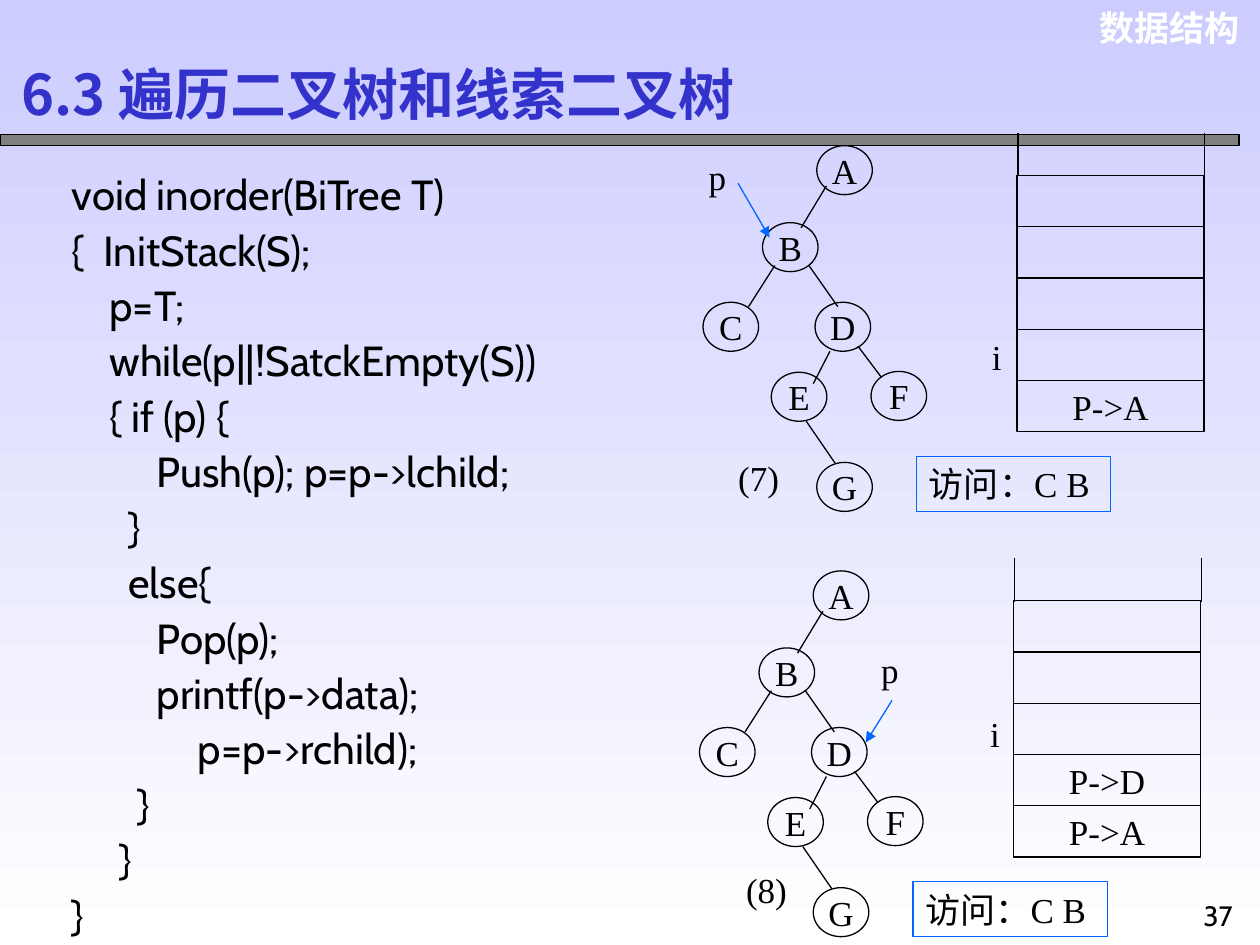
from dataclasses import dataclass

from lxml.etree import SubElement
from pptx import Presentation
from pptx.dml.color import RGBColor
from pptx.enum.shapes import MSO_CONNECTOR as Connector, MSO_SHAPE as Shape
from pptx.enum.text import MSO_ANCHOR as Anchor, PP_ALIGN as Align
from pptx.oxml.ns import qn
from pptx.util import Pt


@dataclass(frozen=True)
class Theme:
    """Colours, fonts and type sizes of the slide."""
    ink: str = "000000"
    white: str = "FFFFFF"
    title: str = "3333CC"
    accent: str = "0066FF"
    bar: str = "808080"
    sky: str = "CCCCFF"
    serif: str = "Times New Roman"
    sans: str = "Arial"
    code: str = "Cabin"
    chinese: str = "Noto Sans CJK SC"
    title_size: int = 32
    code_size: int = 24
    label_size: int = 20
    number_size: int = 16
    rule: float = 0.75
    tab: int = 72


@dataclass(frozen=True)
class Box:
    """A rectangle in points."""
    left: float
    top: float
    width: float
    height: float

    def inner(self, left, top, width, height):
        """Return a box placed relative to this one."""
        return Box(self.left + left, self.top + top, width, height)

    def lengths(self):
        """Return the four sides as lengths."""
        return [Pt(side) for side in (self.left, self.top, self.width, self.height)]


@dataclass(frozen=True)
class Step:
    """What changes from one traversal step to the next."""
    caption: str
    caption_at: tuple
    pointer_at: tuple
    arrow: tuple
    index_at: tuple
    stack: tuple


THEME = Theme()
NODE_WIDTH, NODE_HEIGHT = 31.75, 28
NODES = {"A": (65, 0), "B": (34, 44), "C": (0, 89.5), "D": (64, 89.5),
         "E": (39, 129.5), "F": (96, 129), "G": (65, 181)}
EDGES = [(70.5, 23, 56, 47), (41, 68.5, 26, 92), (60.5, 68.5, 77, 92),
         (72.5, 117.5, 63, 136), (88.5, 114.5, 102, 132.5), (59, 157.5, 75.5, 181.5)]
STEPS = [
    Step("(7)", (8, 174), (-4, 2), (20, 21.5, 38, 52.5), (158, 104.5),
         ("", "", "", "", "P->A")),
    Step("(8)", (14.5, 166.5), (96.5, 40.5), (110, 74, 95, 98), (159, 77),
         ("", "", "", "P->D", "P->A")),
]
CODE = """void inorder(BiTree T)
{  InitStack(S);
    p=T;
    while(p||!SatckEmpty(S))
    { if (p) {
         Push(p); p=p->lchild;
      }
      else{
         Pop(p);
         printf(p->data);
\tp=p->rchild);
       }
     }
}"""


def rgb(value):
    """Turn a hex string into a colour."""
    return RGBColor.from_string(value)


def write(shape, text, size, font, color=THEME.ink, bold=False, align=Align.LEFT,
          anchor=Anchor.TOP, wrap=True, spacing=None):
    """Fill a shape with text, one paragraph a line, and format it."""
    frame = shape.text_frame
    frame.word_wrap, frame.vertical_anchor = wrap, anchor
    frame.text = text
    for para in frame.paragraphs:
        para.alignment, para.line_spacing = align, spacing
        if "\t" in para.text:
            tabs = SubElement(para._p.get_or_add_pPr(), qn("a:tabLst"))
            SubElement(tabs, qn("a:tab"), pos=str(Pt(THEME.tab)), algn="l")
        for span in para.runs:
            span.font.name, span.font.size, span.font.bold = font, Pt(size), bold
            span.font.color.rgb = rgb(color)
            SubElement(span.font._element, qn("a:ea"), typeface=THEME.chinese)


def add_text(page, box, text, size, font, **style):
    """Add a text box."""
    write(page.shapes.add_textbox(*box.lengths()), text, size, font, **style)


def add_label(page, box, text):
    """Add a centred diagram label."""
    add_text(page, box, text, THEME.label_size, THEME.serif,
             align=Align.CENTER, anchor=Anchor.MIDDLE, wrap=False)


def add_outline(page, box, kind, text="", color=THEME.ink, align=Align.CENTER):
    """Add an unfilled shape with a thin outline and an optional label."""
    shape = page.shapes.add_shape(kind, *box.lengths())
    shape.shadow.inherit = False
    shape.fill.background()
    shape.line.color.rgb, shape.line.width = rgb(color), Pt(THEME.rule)
    if text:
        write(shape, text, THEME.label_size, THEME.serif, align=align,
              anchor=Anchor.MIDDLE, wrap=False)
    return shape


def add_line(page, box, ends, color=THEME.ink, arrow=False):
    """Draw a straight line between two points given relative to a box."""
    x1, y1, x2, y2 = ends
    line = page.shapes.add_connector(
        Connector.STRAIGHT, Pt(box.left + x1), Pt(box.top + y1),
        Pt(box.left + x2), Pt(box.top + y2))
    line.line.color.rgb, line.line.width = rgb(color), Pt(THEME.rule)
    if arrow:
        SubElement(line.line._get_or_add_ln(), qn("a:tailEnd"), type="triangle")
    SubElement(line._element.spPr, qn("a:effectLst"))


def draw_header(page, box):
    """Place the course name, the title and the grey bar."""
    add_text(page, box.inner(617, 0, 98.5, 31.5), "数据结构", THEME.label_size, THEME.sans,
             color=THEME.white, bold=True, align=Align.RIGHT)
    add_text(page, box.inner(5, 33, 486, 41), "6.3 遍历二叉树和线索二叉树", THEME.title_size,
             THEME.chinese, color=THEME.title, bold=True, anchor=Anchor.MIDDLE)
    bar = add_outline(page, box.inner(0, 77, 708, 6), Shape.RECTANGLE)
    bar.fill.solid()
    bar.fill.fore_color.rgb = rgb(THEME.bar)


def draw_tree(page, box):
    """Draw the binary tree."""
    for name, (left, top) in NODES.items():
        add_outline(page, box.inner(left, top, NODE_WIDTH, NODE_HEIGHT), Shape.OVAL, name)
    for ends in EDGES:
        add_line(page, box, ends)


def draw_stack(page, box, cells):
    """Draw an open-topped stack whose cells share the height of the box."""
    height = box.height / len(cells)
    for row, text in enumerate(cells):
        add_outline(page, box.inner(0, row * height, box.width, height),
                    Shape.RECTANGLE, text)
    for side in (0.5, box.width + 0.5):
        add_line(page, box, (side, -24.5, side, 0.5))


def draw_step(page, box, step):
    """Draw one traversal step: tree, pointer, stack and visited nodes."""
    draw_tree(page, box)
    add_label(page, box.inner(*step.pointer_at, 24.5, 31.5), "p")
    add_line(page, box, step.arrow, THEME.accent, arrow=True)
    add_label(page, box.inner(*step.index_at, 19.5, 31.5), "i")
    draw_stack(page, box.inner(179.5, 17, 106.75, 146.5), step.stack)
    add_outline(page, box.inner(122, 177.5, 111, 31.5), Shape.RECTANGLE,
                "访问：C B", THEME.accent, Align.LEFT)
    add_label(page, box.inner(*step.caption_at, 47.5, 31.5), step.caption)


def draw_code(page, box):
    """Place the code listing."""
    add_text(page, box, CODE, THEME.code_size, THEME.code, spacing=1.1)


def draw_page_number(page, box):
    """Place the page number."""
    add_text(page, box, "37", THEME.number_size, THEME.code, align=Align.CENTER)


def paint_background(page):
    """Shade the page from top to bottom."""
    fill = page.background.fill
    fill.gradient()
    fill.gradient_angle = 270
    for stop, color in zip(fill.gradient_stops, (THEME.sky, THEME.white)):
        stop.color.rgb = rgb(color)


def main():
    """Build the deck and save it."""
    deck = Presentation()
    deck.slide_width, deck.slide_height = Pt(720), Pt(540)
    page = deck.slides.add_slide(deck.slide_layouts[6])
    paint_background(page)
    draw_header(page, Box(0, 0, 720, 83))
    for step, (left, top) in zip(STEPS, ((401.75, 83.25), (399.75, 326.25))):
        draw_step(page, Box(left, top, 288, 210), step)
    draw_page_number(page, Box(678, 510, 36, 30))
    draw_code(page, Box(34, 90, 317.5, 450))
    deck.save("out.pptx")


if __name__ == "__main__":
    main()
